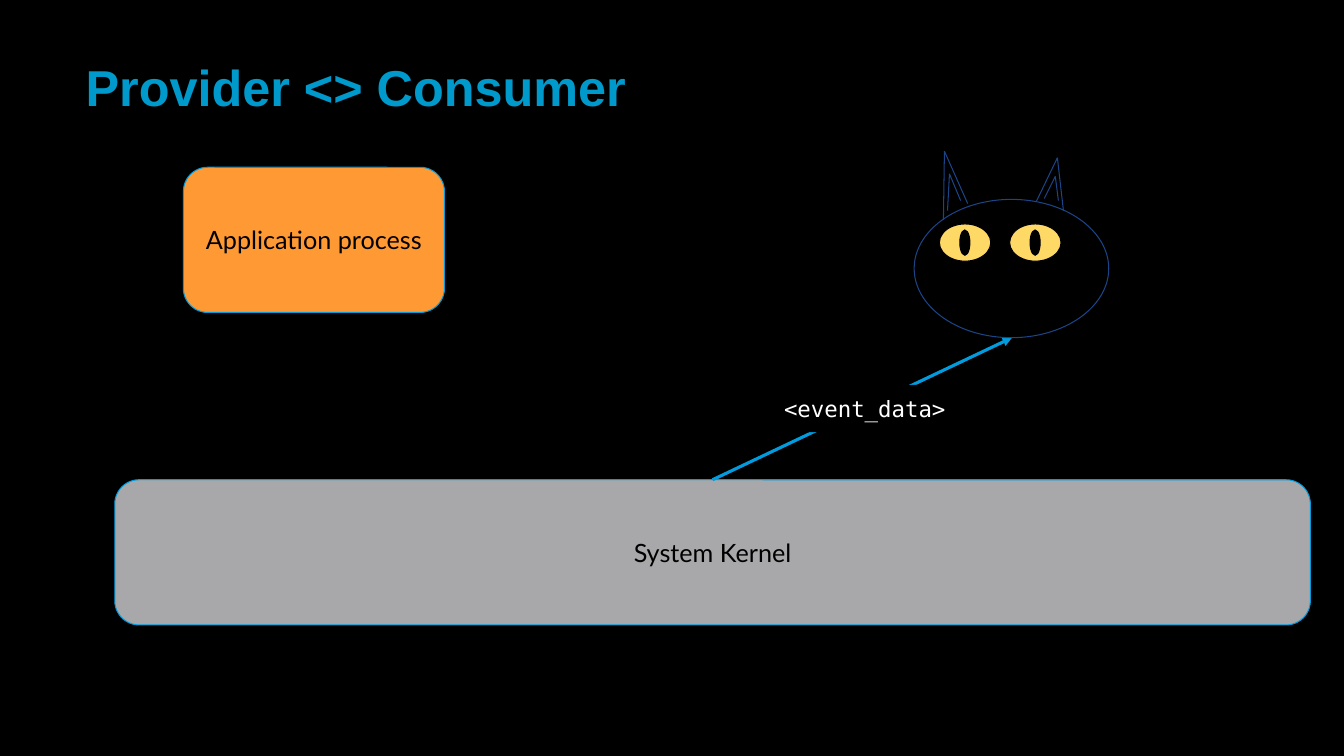
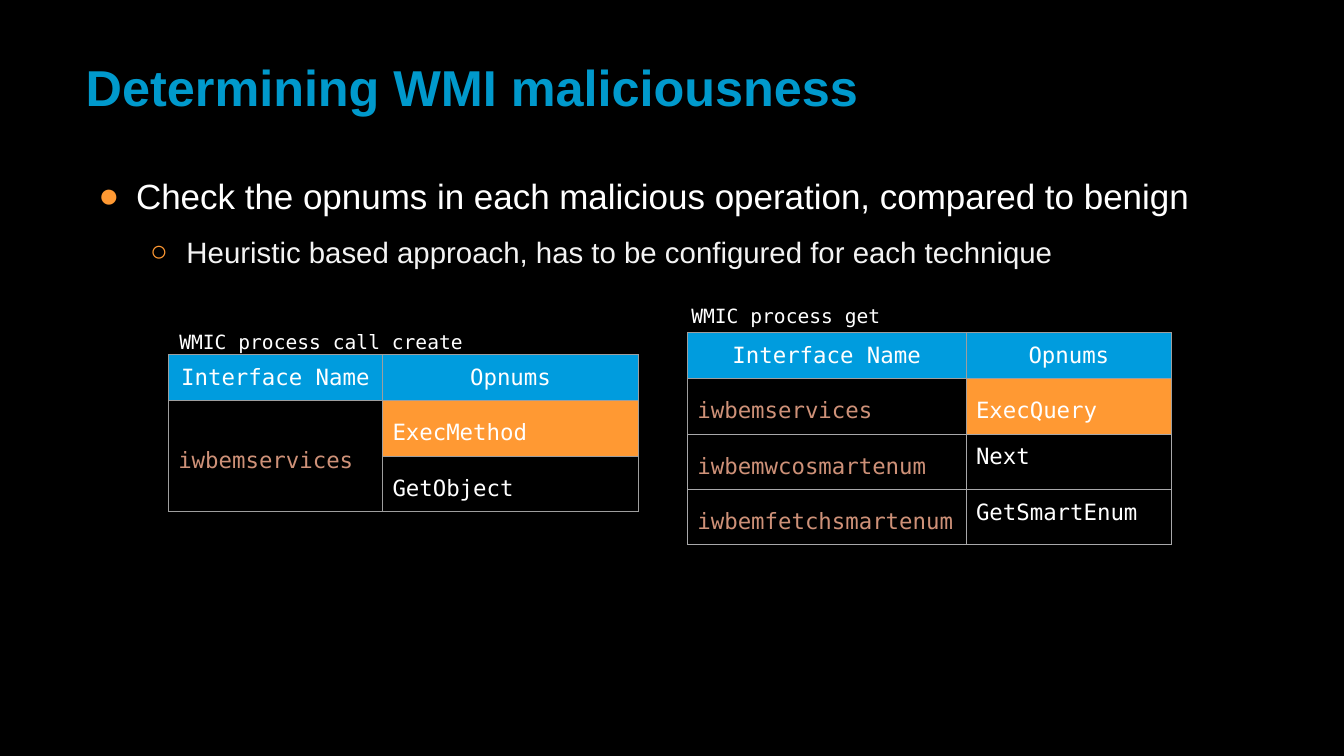
"""Build two slides on event tracing and on spotting malicious WMI calls."""
from lxml.etree import SubElement
from pptx import Presentation
from pptx.dml.color import RGBColor
from pptx.enum.shapes import MSO_CONNECTOR, MSO_SHAPE
from pptx.enum.text import MSO_ANCHOR, MSO_AUTO_SIZE, PP_ALIGN
from pptx.oxml.ns import qn
from pptx.util import Pt

COLORS = {
    "black": "000000", "white": "FFFFFF", "pale": "F3F3F3", "title": "0099CC",
    "blue": "009CDE", "orange": "FF9933", "gray": "A8A8AA", "edge": "9E9E9E",
    "salmon": "CE9178", "navy": "1C4587", "yellow": "FFD966",
}
SANS, MONO, LABEL = "Arial", "DejaVu Sans Mono", "Lato"
INSET = Pt(7.2)


def rgb(name):
    return RGBColor.from_string(COLORS[name])


def points(*lengths):
    return [Pt(length) for length in lengths]


def write(para, text, font=MONO, size=16, color="white", bold=False,
          align=PP_ALIGN.LEFT, spacing=None):
    span = para.add_run()
    span.text = text
    span.font.name = font
    span.font.size = Pt(size)
    span.font.bold = bold
    span.font.color.rgb = rgb(color)
    para.alignment = align
    if spacing:
        para.line_spacing = spacing


def paint(target, fill):
    if fill:
        target.fill.solid()
        target.fill.fore_color.rgb = rgb(fill)
    else:
        target.fill.background()


def set_insets(target):
    target.margin_left = target.margin_right = INSET
    target.margin_top = target.margin_bottom = INSET


def add_bullet(para, char, margin, indent):
    properties = para._p.get_or_add_pPr()
    properties.set("marL", str(Pt(margin)))
    properties.set("indent", str(Pt(indent)))
    color = SubElement(properties, qn("a:buClr"))
    SubElement(color, qn("a:srgbClr"), val=COLORS["orange"])
    SubElement(properties, qn("a:buChar"), char=char)


def add_borders(cell, color):
    properties = cell._tc.get_or_add_tcPr()
    for side in ("lnL", "lnR", "lnT", "lnB"):
        line = SubElement(properties, qn(f"a:{side}"), w=str(Pt(0.75)))
        fill = SubElement(line, qn("a:solidFill"))
        SubElement(fill, qn("a:srgbClr"), val=COLORS[color])


class Painter:
    def __init__(self):
        self.deck = Presentation()
        self.deck.slide_width, self.deck.slide_height = points(960, 540)
        paint(self.deck.slide_master.background, "black")
        self.page = None

    def start(self, layout, title):
        self.page = self.deck.slides.add_slide(self.deck.slide_layouts[layout])
        frame = self.place(self.page.shapes.title, 54, 44, 876, 36)
        frame.vertical_anchor = MSO_ANCHOR.MIDDLE
        write(frame.paragraphs[0], title, SANS, 36, "title", bold=True)

    def place(self, box, left, top, width, height):
        box.left, box.top, box.width, box.height = points(left, top, width, height)
        frame = box.text_frame
        frame.word_wrap = True
        frame.auto_size = MSO_AUTO_SIZE.NONE
        set_insets(frame)
        return frame

    def bullets(self, items):
        frame = self.place(self.page.placeholders[1], 54, 102.2, 876, 380)
        frame.vertical_anchor = MSO_ANCHOR.TOP
        for level, (text, char, margin, indent, size, color) in enumerate(items):
            para = frame.add_paragraph() if level else frame.paragraphs[0]
            add_bullet(para, char, margin, indent)
            para.level = level
            para.space_before = Pt(0)
            write(para, text, SANS, size, color, spacing=1.5)

    def shape(self, kind, area, fill=None, line=None, parent=None):
        shapes = (parent or self.page).shapes
        shape = shapes.add_shape(kind, *points(*area))
        shape.shadow.inherit = False
        paint(shape, fill)
        if line:
            shape.line.color.rgb = rgb(line)
            shape.line.width = Pt(0.75)
        else:
            shape.line.fill.background()
        return shape

    def box(self, kind, area, text, fill, line=None, **style):
        box = self.shape(kind, area, fill, line)
        frame = self.place(box, *area)
        frame.vertical_anchor = MSO_ANCHOR.MIDDLE if line else MSO_ANCHOR.TOP
        write(frame.paragraphs[0], text, align=PP_ALIGN.CENTER, **style)
        return box

    def caption(self, left, top, text):
        area = (left, top, 389, 32)
        frame = self.place(self.page.shapes.add_textbox(*points(*area)), *area)
        write(frame.paragraphs[0], text, size=14)

    def line(self, start, end, color="navy", width=0.75, arrow=False):
        line = self.page.shapes.add_connector(
            MSO_CONNECTOR.STRAIGHT, *points(*start, *end))
        line.line.color.rgb = rgb(color)
        line.line.width = Pt(width)
        if arrow:
            SubElement(line.line._get_or_add_ln(), qn("a:tailEnd"), type="triangle")
        SubElement(line._element.spPr, qn("a:effectLst"))
        return line

    def eye(self, left, top):
        group = self.page.shapes.add_group_shape()
        self.shape(MSO_SHAPE.OVAL, (left, top, 36.7, 26.6), "yellow", "black", group)
        for rotation in (0, 180):
            half = self.shape(MSO_SHAPE.PIE, (left + 14.6, top + 4.3, 7.2, 18),
                              "black", "black", group)
            half.adjustments[0] = 53.64
            half.adjustments[1] = 162
            half.rotation = rotation

    def table(self, left, top, widths, rows, edge="edge"):
        height = 30 * (len(rows) + 1)
        table = self.page.shapes.add_table(
            len(rows) + 1, 2, *points(left, top, sum(widths), height)).table
        table.first_row = table.horz_banding = False
        for column, width in zip(table.columns, widths):
            column.width = Pt(width)
        for column, heading in enumerate(("Interface Name", "Opnums")):
            self.cell(table.cell(0, column), heading, "blue", align=PP_ALIGN.CENTER)
        for number, (interface, opnum, spacing) in enumerate(rows, 1):
            border = "edge" if number == 1 else edge
            name_cell = table.cell(number, 0)
            self.cell(name_cell, interface, border=border,
                      color="salmon", spacing=1.36)
            self.cell(table.cell(number, 1), opnum, "orange" if number == 1 else None,
                      border, spacing=spacing)
            if not interface:
                owner = table.cell(number - 1, 0)
                owner.merge(name_cell)
                owner.vertical_anchor = MSO_ANCHOR.MIDDLE

    def cell(self, cell, text, fill=None, border="edge", **style):
        add_borders(cell, border)
        paint(cell, fill)
        set_insets(cell)
        if text:
            write(cell.text_frame.paragraphs[0], text, **style)


def draw_provider(painter):
    painter.start(5, "Provider <> Consumer")
    label = {"font": LABEL, "size": 18, "color": "black"}
    painter.box(MSO_SHAPE.ROUNDED_RECTANGLE, (131, 119.5, 186.5, 103.7),
                "Application process", "orange", "blue", **label)
    kernel = painter.box(MSO_SHAPE.ROUNDED_RECTANGLE, (82, 342.7, 854, 103.7),
                         "System Kernel", "gray", "blue", **label)
    arrow = painter.line((509, 342.7), (722.9, 241.2), "blue", 2.25, arrow=True)
    arrow.begin_connect(kernel, 0)
    painter.box(MSO_SHAPE.RECTANGLE, (541.4, 275, 152.6, 33.8),
                "<event_data>", "black")
    painter.shape(MSO_SHAPE.OVAL, (653, 142.4, 139, 98.8), line="navy")
    for left in (671, 721.2):
        painter.eye(left, 160)
    ears = [
        ((673.9, 157), (674.6, 108), (691.2, 145.4)),
        ((676.8, 150.5), (678.2, 124.2), (686.2, 143.3)),
        ((740.2, 144), (755.3, 112.7), (759.6, 150.5)),
        ((745.9, 141.8), (753.8, 126), (756, 143.3)),
    ]
    for start, tip, end in ears:
        painter.line(start, tip)
        painter.line(tip, end)


def draw_maliciousness(painter):
    painter.start(1, "Determining WMI maliciousness")
    painter.bullets([
        ("Check the opnums in each malicious operation, compared to benign",
         "●", 36, -27, 25, "white"),
        ("Heuristic based approach, has to be configured for each technique",
         "○", 72, -26, 21, "pale"),
    ])
    painter.table(120.2, 253.4, (153, 183), [
        ("iwbemservices", "ExecMethod", 1.36),
        ("", "GetObject", 1.36),
    ])
    painter.table(491, 237.6, (199, 147), [
        ("iwbemservices", "ExecQuery", 1.36),
        ("iwbemwcosmartenum", "Next", None),
        ("iwbemfetchsmartenum", "GetSmartEnum", None),
    ], edge="gray")
    painter.caption(121, 228.2, "WMIC process call create")
    painter.caption(486.7, 210.2, "WMIC process get")


def main():
    painter = Painter()
    draw_provider(painter)
    draw_maliciousness(painter)
    painter.deck.save("out.pptx")


if __name__ == "__main__":
    main()
